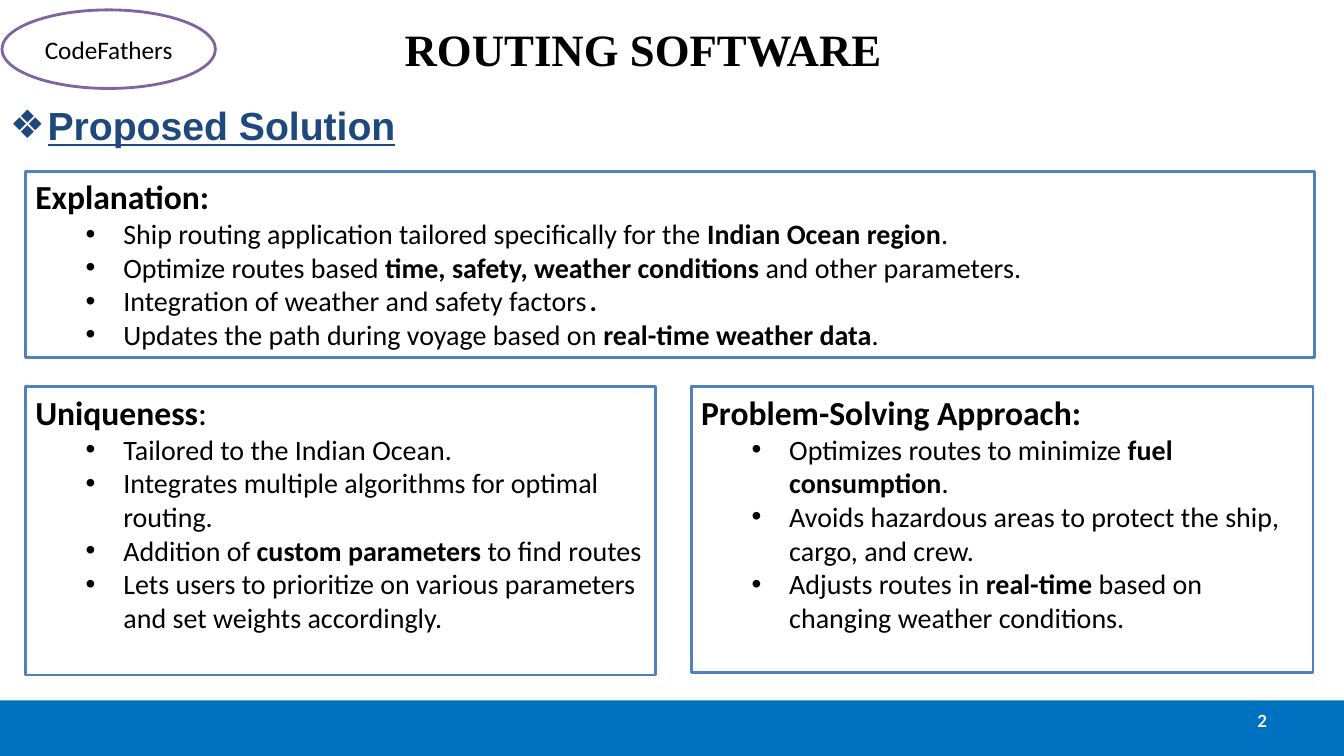
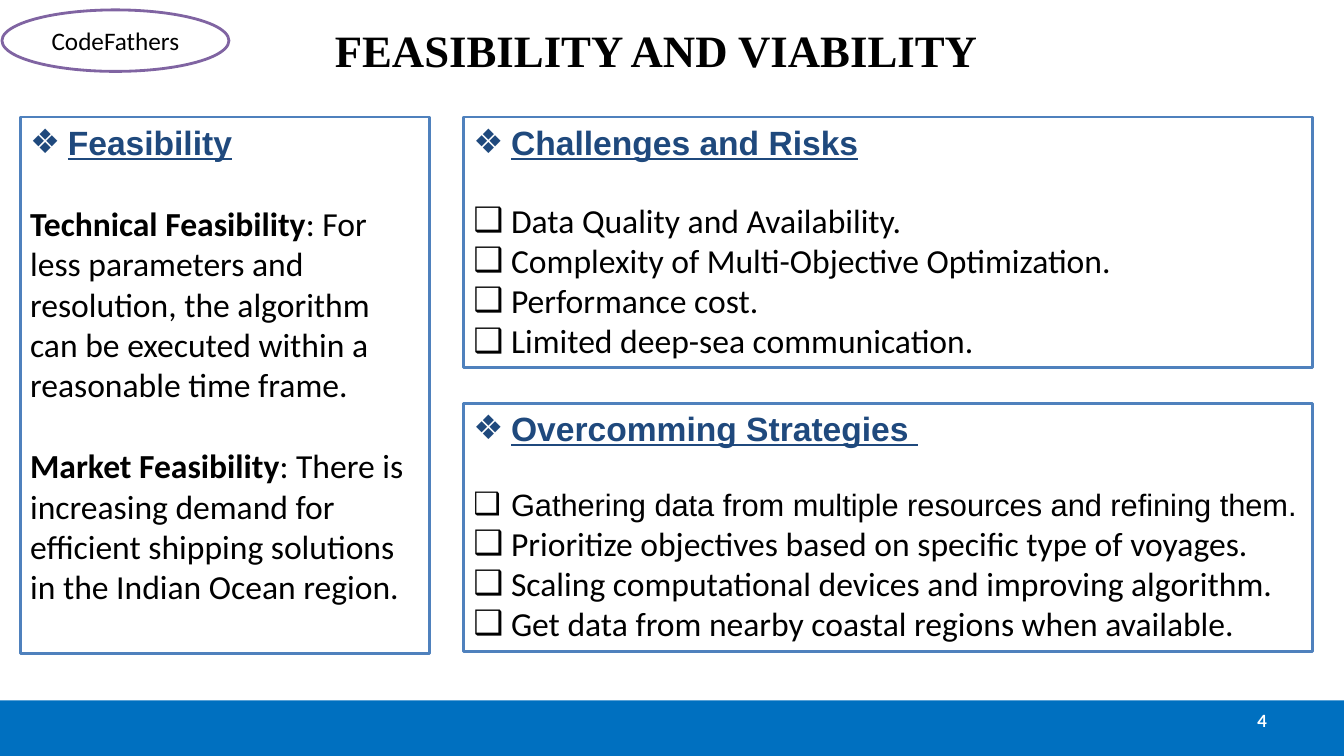
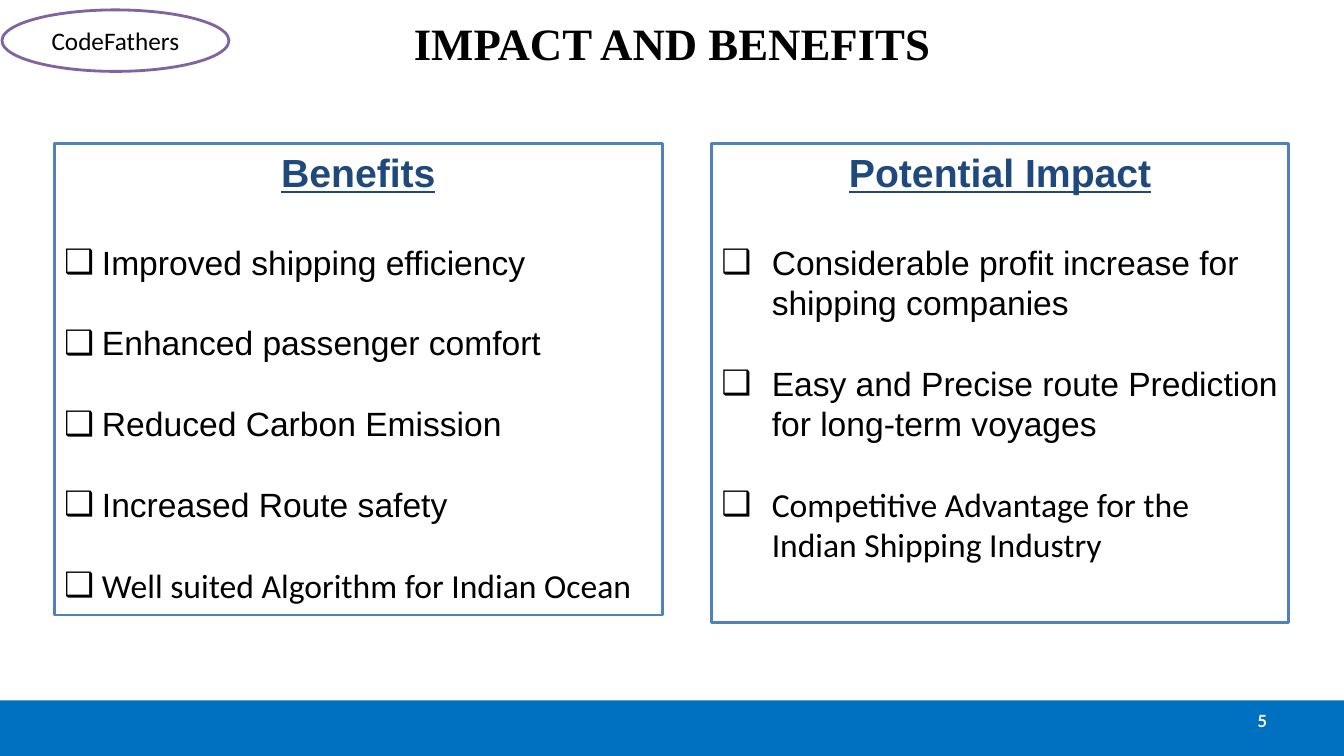
from lxml import etree
from pptx import Presentation
from pptx.dml.color import RGBColor
from pptx.enum.shapes import MSO_SHAPE
from pptx.enum.text import MSO_ANCHOR, PP_ALIGN
from pptx.oxml.ns import qn
from pptx.util import Cm, Pt

RECTANGLE, OVAL = MSO_SHAPE.RECTANGLE, MSO_SHAPE.OVAL
LEFT, CENTER, RIGHT = PP_ALIGN.LEFT, PP_ALIGN.CENTER, PP_ALIGN.RIGHT
TOP, MIDDLE = MSO_ANCHOR.TOP, MSO_ANCHOR.MIDDLE

PAGE_W, PAGE_H = 33.87, 19.05
BAND_TOP = 17.65
BLACK, WHITE, NAVY = "000000", "FFFFFF", "1F497D"
BAND_BLUE, FRAME_BLUE, PURPLE = "0070C0", "4F81BD", "8064A2"
TEAM = "CodeFathers"


def style(size, font="Calibri", color=BLACK, bold=False, underline=False,
          align=LEFT, bullet=None, margin=0, hang=0.95):
    return {"size": size, "font": font, "color": color, "bold": bold,
            "underline": underline, "align": align, "bullet": bullet,
            "margin": margin, "hang": hang}


def section(size, **extra):
    return style(size, "Arial", NAVY, True, True, **extra)


def check(size=24, font="Calibri", indent=0.95):
    return style(size, font, bullet="❑", margin=indent, hang=indent)


STYLES = {
    "title": style(32, "Times New Roman", bold=True, align=CENTER),
    "team": style(18, align=CENTER),
    "number": style(12, "Lato", WHITE, True, align=RIGHT),
    "topic": section(28, bullet="❖", margin=0.95),
    "section": section(24, bullet="❖", margin=0.95),
    "centered": section(28, align=CENTER),
    "body": style(24),
    "point": style(20, bullet="•", margin=2.22),
    "check": check(),
    "check small": check(22, "Arial"),
    "check arial": check(24, "Arial"),
    "check wide": check(24, "Calibri", 1.27),
    "check wide arial": check(24, "Arial", 1.27),
}

# Frames: (left, top, width, height), then rows of (style, text, points of space before).
# Text between ** marks is bold.
PAGES = [
    {"title": "ROUTING SOFTWARE", "title_at": (0.97, 0.81), "number": "2",
     "badge": (5.38, 1.98), "topic": "Proposed Solution",
     "frames": [
         ((0.64, 4.32, 32.49, 4.7), [
             ("body", "**Explanation:**", 0),
             ("point", "Ship routing application tailored specifically for the "
                       "**Indian Ocean region**.", 0),
             ("point", "Optimize routes based **time, safety, weather conditions** "
                       "and other parameters.", 0),
             ("point", "Integration of weather and safety factors**\t.**", 0),
             ("point", "Updates the path during voyage based on "
                       "**real-time weather data**.", 0)]),
         ((17.42, 9.75, 15.67, 7.19), [
             ("body", "**Problem-Solving Approach:**", 0),
             ("point", "Optimizes routes to minimize **fuel consumption**.", 0),
             ("point", "Avoids hazardous areas to protect the ship, cargo, and crew.", 0),
             ("point", "Adjusts routes in **real-time** based on changing weather "
                       "conditions.", 0)]),
         ((0.64, 9.75, 15.88, 7.26), [
             ("body", "**Uniqueness**:", 0),
             ("point", "Tailored to the Indian Ocean.", 0),
             ("point", "Integrates multiple algorithms for optimal routing.", 0),
             ("point", "Addition of **custom parameters** to find routes", 0),
             ("point", "Lets users to prioritize on various parameters and set "
                       "weights accordingly.", 0)]),
     ]},
    {"title": "FEASIBILITY AND VIABILITY", "title_at": (1.3, 0.84), "number": "4",
     "badge": (5.72, 1.55),
     "frames": [
         ((0.51, 2.95, 10.31, 13.51), [
             ("section", "Feasibility", 0),
             ("body", "**Technical Feasibility**: For less parameters and resolution, "
                      "the algorithm can be executed within a reasonable time frame.", 29),
             ("body", "**Market Feasibility**: There is increasing demand for efficient "
                      "shipping solutions in the Indian Ocean region.", 29)]),
         ((11.68, 2.95, 21.39, 6.32), [
             ("section", "Challenges and Risks", 0),
             ("check", "Data Quality and Availability.", 26.5),
             ("check", "Complexity of Multi-Objective Optimization.", 0),
             ("check", "Performance cost.", 0),
             ("check", "Limited deep-sea communication.", 0)]),
         ((11.68, 10.16, 21.39, 6.25), [
             ("section", "Overcomming Strategies ", 0),
             ("check small", "Gathering data from multiple resources and refining them.", 26.5),
             ("check", "Prioritize objectives based on specific type of voyages.", 0),
             ("check", "Scaling computational devices and improving algorithm.", 0),
             ("check", "Get data from nearby coastal regions when available.", 0)]),
     ]},
    {"title": "IMPACT AND BENEFITS", "title_at": (1.7, 0.66), "number": "5",
     "badge": (5.72, 1.55),
     "frames": [
         ((1.37, 3.61, 15.32, 11.89), [
             ("centered", "Benefits", 0),
             ("check arial", "Improved shipping efficiency", 33),
             ("check arial", "Enhanced passenger comfort", 29),
             ("check arial", "Reduced Carbon Emission", 29),
             ("check arial", "Increased Route safety", 29),
             ("check", "Well suited Algorithm for Indian Ocean", 29)]),
         ((17.93, 3.61, 14.55, 12.07), [
             ("centered", "Potential Impact", 0),
             ("check wide arial", "Considerable profit increase for shipping companies", 33),
             ("check wide arial", "Easy and Precise route Prediction for long-term voyages", 29),
             ("check wide", "Competitive Advantage for the Indian Shipping Industry", 29)]),
     ]},
]


def rgb(color):
    return RGBColor.from_string(color)


def add_bullet(para, look):
    """Hang the paragraph's first line and mark it with the style's bullet."""
    props = para._p.get_or_add_pPr()
    props.set("marL", str(Cm(look["margin"])))
    props.set("indent", str(-Cm(look["hang"])))
    etree.SubElement(props, qn("a:buFont")).set("typeface", "Arial")
    etree.SubElement(props, qn("a:buChar")).set("char", look["bullet"])


def write(shape, rows, anchor=TOP):
    frame = shape.text_frame
    frame.word_wrap = True
    frame.vertical_anchor = anchor
    for index, (name, text, gap) in enumerate(rows):
        look = STYLES[name]
        para = frame.add_paragraph() if index else frame.paragraphs[0]
        para.alignment = look["align"]
        para.space_before = Pt(gap)
        if look["bullet"]:
            add_bullet(para, look)
        font = para.font
        font.name, font.size = look["font"], Pt(look["size"])
        font.bold, font.underline = look["bold"], look["underline"]
        font.color.rgb = rgb(look["color"])
        for part, words in enumerate(text.split("**")):
            if words:
                span = para.add_run()
                span.text = words
                if part % 2:
                    span.font.bold = True


def add_text(page, at, name, text, anchor=TOP):
    box = page.shapes.add_textbox(*map(Cm, at))
    write(box, [(name, text, 0)], anchor)


def add_panel(page, kind, at, fill=None, line=None):
    panel = page.shapes.add_shape(kind, *map(Cm, at))
    panel.shadow.inherit = False
    if fill:
        panel.fill.solid()
        panel.fill.fore_color.rgb = rgb(fill)
    else:
        panel.fill.background()
    if line:
        panel.line.color.rgb = rgb(line)
        panel.line.width = Pt(2)
    else:
        panel.line.fill.background()
    return panel


def add_page(deck, content):
    page = deck.slides.add_slide(deck.slide_layouts[6])
    add_panel(page, RECTANGLE, (0, BAND_TOP, PAGE_W, PAGE_H - BAND_TOP), fill=BAND_BLUE)
    add_text(page, (*content["title_at"], 30.48, 0.84), "title", content["title"], MIDDLE)
    add_text(page, (24.28, BAND_TOP, 7.9, 1.02), "number", content["number"], MIDDLE)
    badge = add_panel(page, OVAL, (0.05, 0.25, *content["badge"]), WHITE, PURPLE)
    write(badge, [("team", TEAM, 0)], MIDDLE)
    if "topic" in content:
        add_text(page, (0, 2.44, PAGE_W, 1.45), "topic", content["topic"])
    for at, rows in content["frames"]:
        write(add_panel(page, RECTANGLE, at, line=FRAME_BLUE), rows)


def main():
    deck = Presentation()
    deck.slide_width, deck.slide_height = Cm(PAGE_W), Cm(PAGE_H)
    for content in PAGES:
        add_page(deck, content)
    deck.save("out.pptx")


if __name__ == "__main__":
    main()
